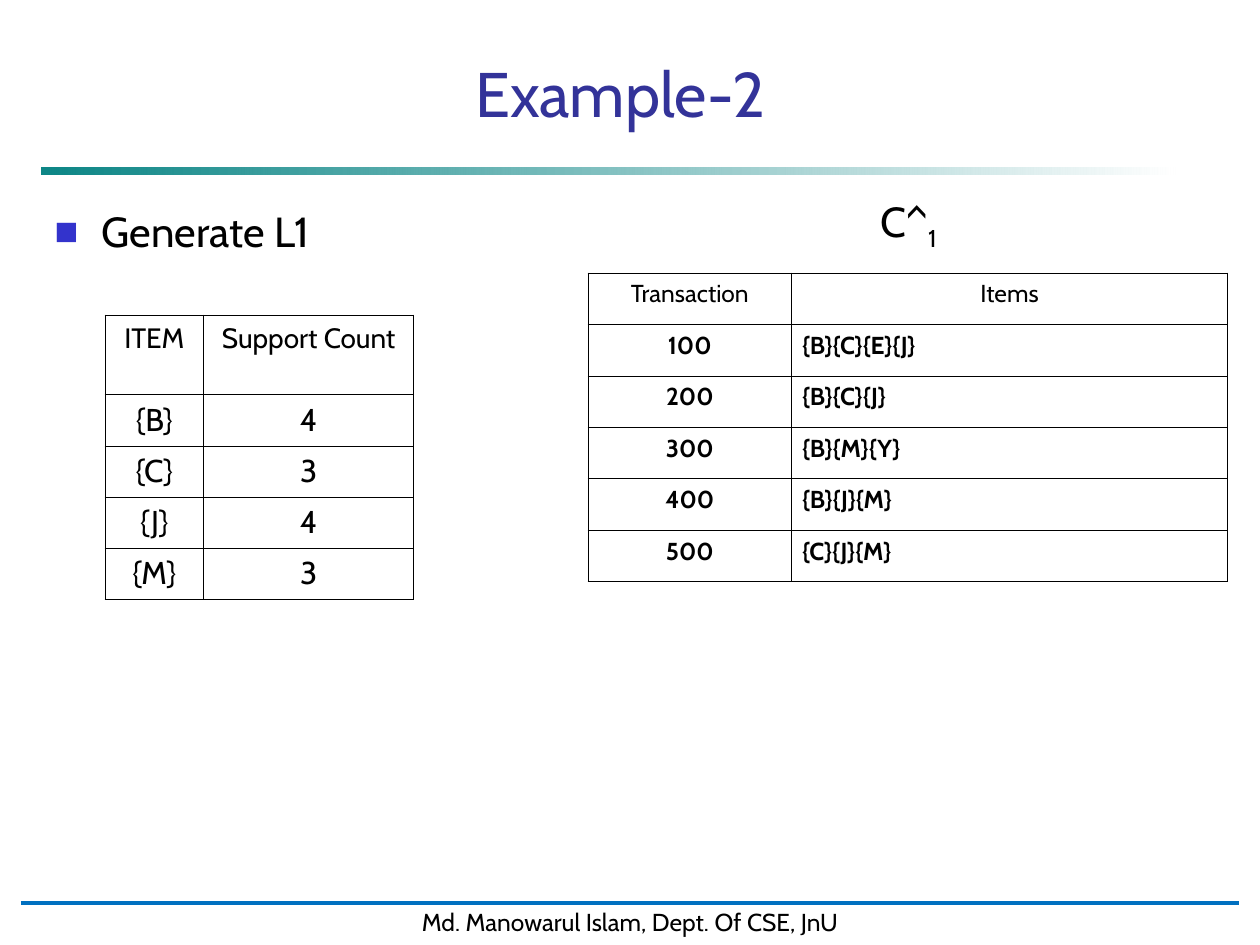
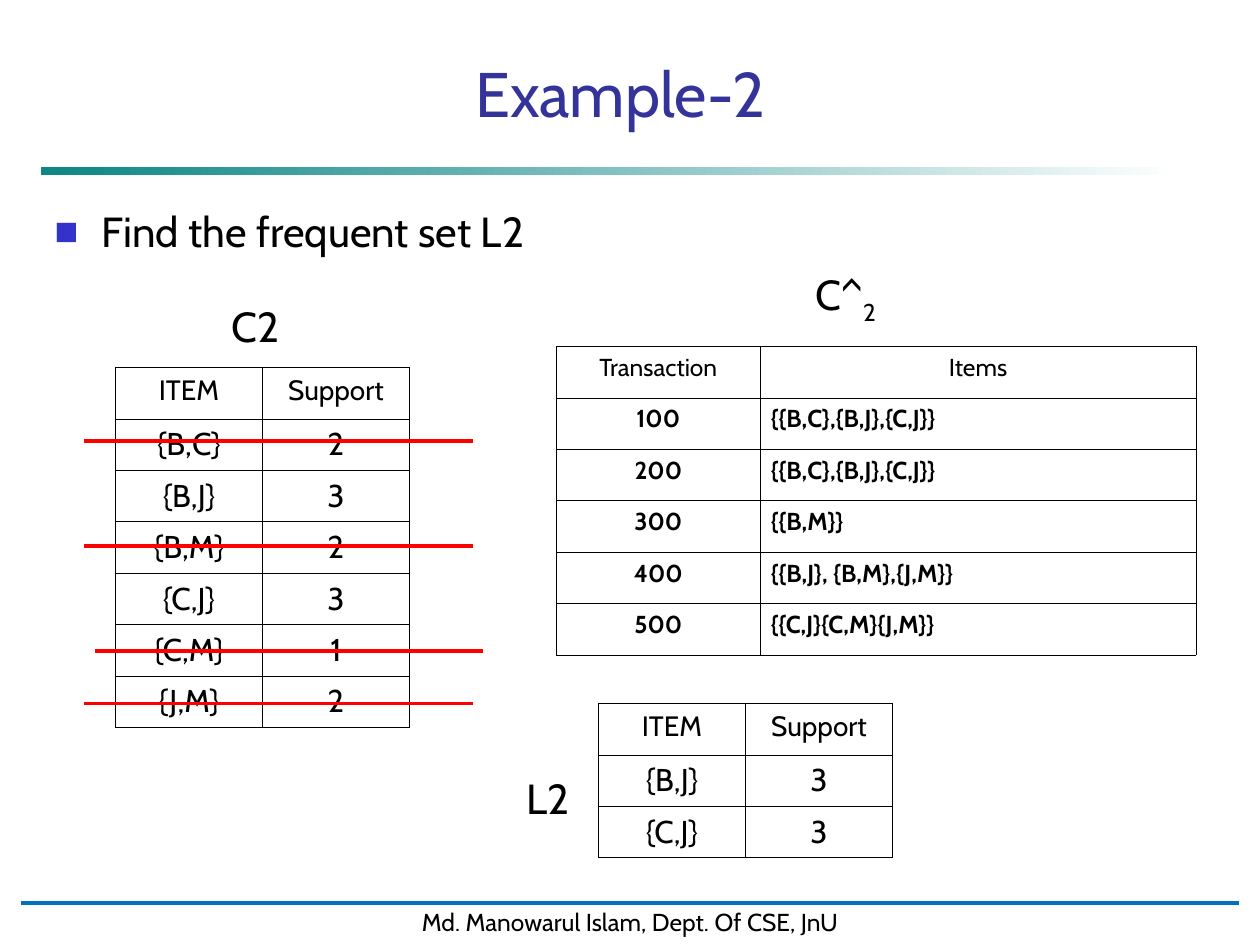
"""Build two slides that work through a frequent item set example."""
from dataclasses import dataclass
from typing import Any, NamedTuple

import lxml.etree
import pptx
import pptx.dml.color
import pptx.enum.shapes
import pptx.enum.text
import pptx.oxml.ns
import pptx.util

Align = pptx.enum.text.PP_ALIGN
Anchor = pptx.enum.text.MSO_ANCHOR
Kind = pptx.enum.shapes.MSO_SHAPE
SCALE = 7620


@dataclass(frozen=True)
class Theme:
    font: str = "Cabin"
    ink: str = "000000"
    paper: str = "FFFFFF"
    title: str = "333399"
    bullet: str = "3333CC"
    band: str = "008080"
    rule: str = "0070C0"
    strike: str = "FF0000"
    title_size: int = 36
    text_size: int = 24
    count_size: int = 18
    head_size: int = 16
    small_size: int = 14
    strike_width: float = 2.25
    rule_width: float = 1.75
    grid_width: float = 0.45


class Box(NamedTuple):
    left: int
    top: int
    width: int
    height: int


class Label(NamedTuple):
    text: str
    box: Box
    sub: str = ""


class Look(NamedTuple):
    head_size: int
    body_size: int
    bold: bool
    aligns: tuple[Any, Any]
    inset: int


class Grid(NamedTuple):
    left: int
    top: int
    cols: tuple[int, int]
    look: Look
    rows: list[tuple[str, str]]
    head: int = 49
    row: int = 49


class Strike(NamedTuple):
    left: int
    top: int
    width: int = 370


class Page(NamedTuple):
    point: str
    grids: list[Grid]
    labels: list[Label]
    strikes: list[Strike]


THEME = Theme()
COUNT = Look(THEME.head_size, THEME.count_size, False, (Align.CENTER, Align.CENTER), 12)
TRANS = Look(THEME.small_size, THEME.small_size, True, (Align.CENTER, Align.LEFT), 10)
TRANS_COLS = (194, 415)
PAIR_COLS = (140, 140)
TITLE = "Example-2"
FOOTER = "Md. Manowarul Islam, Dept. Of CSE, JnU"

PAGES = [
    Page(
        "Generate L1",
        [
            Grid(560, 260, TRANS_COLS, TRANS, [
                ("Transaction", "Items"),
                ("100", "{B}{C}{E}{J}"),
                ("200", "{B}{C}{J}"),
                ("300", "{B}{M}{Y}"),
                ("400", "{B}{J}{M}"),
                ("500", "{C}{J}{M}"),
            ]),
            Grid(100, 300, (94, 200), COUNT, [
                ("ITEM", "Support Count"),
                ("{B}", "4"),
                ("{C}", "3"),
                ("{J}", "4"),
                ("{M}", "3"),
            ], head=76, row=48),
        ],
        [Label("C^", Box(823, 180, 85, 67), "1")],
        [],
    ),
    Page(
        "Find the frequent set L2",
        [
            Grid(110, 350, PAIR_COLS, COUNT, [
                ("ITEM", "Support"),
                ("{B,C}", "2"),
                ("{B,J}", "3"),
                ("{B,M}", "2"),
                ("{C,J}", "3"),
                ("{C,M}", "1"),
                ("{J,M}", "2"),
            ]),
            Grid(530, 330, TRANS_COLS, TRANS, [
                ("Transaction", "Items"),
                ("100", "{{B,C},{B,J},{C,J}}"),
                ("200", "{{B,C},{B,J},{C,J}}"),
                ("300", "{{B,M}}"),
                ("400", "{{B,J}, {B,M},{J,M}}"),
                ("500", "{{C,J}{C,M}{J,M}}"),
            ]),
            Grid(570, 670, PAIR_COLS, COUNT, [
                ("ITEM", "Support"),
                ("{B,J}", "3"),
                ("{C,J}", "3"),
            ]),
        ],
        [
            Label("C^", Box(763, 250, 85, 67), "2"),
            Label("C2", Box(209, 280, 72, 60)),
            Label("L2", Box(490, 730, 67, 60)),
        ],
        [Strike(80, 420), Strike(80, 520), Strike(90, 620), Strike(80, 670)],
    ),
]


def px(count: int) -> pptx.util.Emu:
    return pptx.util.Emu(count * SCALE)


def place(box: Box) -> list[pptx.util.Emu]:
    return [px(side) for side in box]


def shade(code: str) -> pptx.dml.color.RGBColor:
    return pptx.dml.color.RGBColor.from_string(code)


def add_tag(parent: Any, name: str, **attrs: str) -> Any:
    return lxml.etree.SubElement(parent, pptx.oxml.ns.qn(name), attrs)


def style(para: Any, size: int, color: str = THEME.ink, align: Any = Align.CENTER,
          bold: bool = False) -> None:
    para.alignment = align
    para.space_before = pptx.util.Pt(0)
    for run in para.runs:
        run.font.name = THEME.font
        run.font.size = pptx.util.Pt(size)
        run.font.color.rgb = shade(color)
        run.font.bold = bold


def add_line(slide: Any, left: int, top: int, width: int, color: str, weight: float) -> None:
    line = slide.shapes.add_connector(
        pptx.enum.shapes.MSO_CONNECTOR.STRAIGHT,
        px(left), px(top), px(left + width), px(top))
    line.line.color.rgb = shade(color)
    line.line.width = pptx.util.Pt(weight)
    add_tag(line._element.spPr, "a:effectLst")


def add_frame(slide: Any) -> None:
    band = slide.shapes.add_shape(Kind.RECTANGLE, *place(Box(40, 160, 1080, 6)))
    band.shadow.inherit = False
    band.line.fill.background()
    band.fill.gradient()
    band.fill.gradient_angle = 0
    for stop, color, spot in zip(band.fill.gradient_stops, (THEME.band, THEME.paper), (0, 1)):
        stop.color.rgb = shade(color)
        stop.position = spot
    first = next(band._element.iter(pptx.oxml.ns.qn("a:srgbClr")))
    add_tag(first, "a:alpha", val="95000")

    foot = slide.shapes.add_shape(Kind.RECTANGLE, *place(Box(20, 858, 1160, 40)))
    foot.shadow.inherit = False
    foot.fill.solid()
    foot.fill.fore_color.rgb = shade(THEME.paper)
    foot.line.color.rgb = shade(THEME.paper)
    foot.line.width = pptx.util.Pt(2)
    foot.text_frame.word_wrap = False
    foot.text_frame.text = FOOTER
    style(foot.text_frame.paragraphs[0], THEME.small_size)
    add_line(slide, 20, 860, 1160, THEME.rule, THEME.rule_width)


def fill_holder(holder: Any, box: Box, text: str, anchor: Any) -> Any:
    holder.left, holder.top, holder.width, holder.height = place(box)
    frame = holder.text_frame
    frame.text = text
    frame.auto_size = pptx.enum.text.MSO_AUTO_SIZE.NONE
    frame.vertical_anchor = anchor
    return frame.paragraphs[0]


def add_heads(slide: Any, point: str) -> None:
    title = fill_holder(slide.shapes.title, Box(80, 50, 1022, 80), TITLE, Anchor.BOTTOM)
    style(title, THEME.title_size, THEME.title)
    para = fill_holder(slide.placeholders[1], Box(40, 190, 1100, 60), point, Anchor.TOP)
    props = para._p.get_or_add_pPr()
    props.set("marL", str(px(45)))
    props.set("indent", str(px(-45)))
    add_tag(add_tag(props, "a:buClr"), "a:srgbClr", val=THEME.bullet)
    add_tag(props, "a:buSzPct", val="60000")
    add_tag(props, "a:buFont", typeface=THEME.font)
    add_tag(props, "a:buChar", char="■")
    style(para, THEME.text_size, align=Align.LEFT)


def add_label(slide: Any, label: Label) -> None:
    frame = slide.shapes.add_textbox(*place(label.box)).text_frame
    frame.word_wrap = False
    frame.text = label.text
    para = frame.paragraphs[0]
    if label.sub:
        run = para.add_run()
        run.text = label.sub
        run.font._element.set("baseline", "-25000")
    style(para, THEME.text_size, align=Align.CENTER if label.sub else Align.LEFT)


def draw_edges(cell: Any) -> None:
    props = cell._tc.get_or_add_tcPr()
    for side in "LRTB":
        edge = add_tag(props, f"a:ln{side}", w=str(pptx.util.Pt(THEME.grid_width)))
        add_tag(add_tag(edge, "a:solidFill"), "a:srgbClr", val=THEME.ink)


def add_grid(slide: Any, grid: Grid) -> None:
    high = grid.head + grid.row * (len(grid.rows) - 1)
    box = Box(grid.left, grid.top, sum(grid.cols), high)
    table = slide.shapes.add_table(len(grid.rows), len(grid.cols), *place(box)).table
    table.first_row = table.horz_banding = False
    for col, width in zip(table.columns, grid.cols):
        col.width = px(width)
    look = grid.look
    for at, texts in enumerate(grid.rows):
        body = at > 0
        table.rows[at].height = px(grid.row if body else grid.head)
        for cell, text, align in zip(table.rows[at].cells, texts, look.aligns):
            cell.text_frame.text = text
            cell.margin_left = cell.margin_right = px(look.inset if body else 12)
            cell.margin_top = cell.margin_bottom = px(6)
            draw_edges(cell)
            cell.fill.background()
            style(cell.text_frame.paragraphs[0],
                  look.body_size if body else look.head_size,
                  align=align if body else Align.CENTER,
                  bold=body and look.bold)


def add_page(deck: Any, page: Page) -> None:
    slide = deck.slides.add_slide(deck.slide_layouts[1])
    add_frame(slide)
    add_heads(slide, page.point)
    for grid in page.grids:
        add_grid(slide, grid)
    for label in page.labels:
        add_label(slide, label)
    for strike in page.strikes:
        add_line(slide, *strike, THEME.strike, THEME.strike_width)


def main() -> None:
    deck = pptx.Presentation()
    deck.slide_width, deck.slide_height = px(1200), px(900)
    for page in PAGES:
        add_page(deck, page)
    deck.save("out.pptx")


if __name__ == "__main__":
    main()
